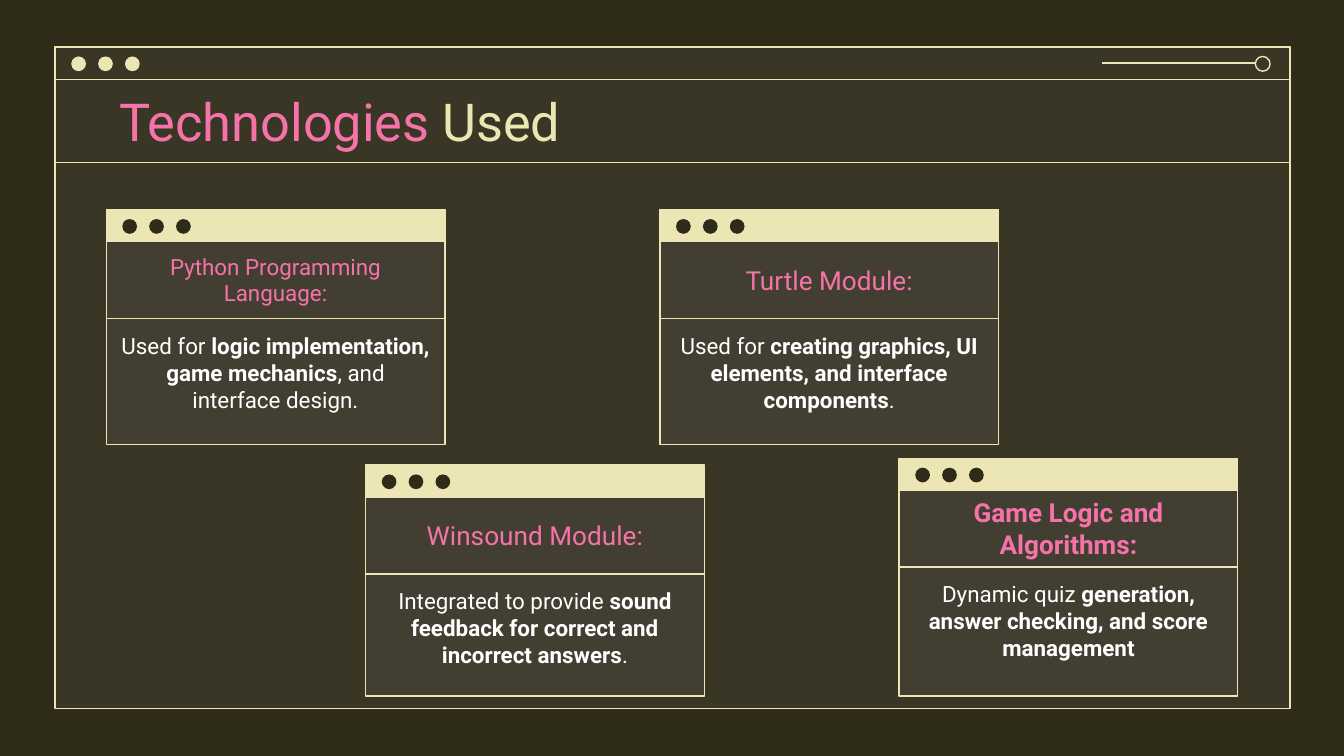
from dataclasses import dataclass

from lxml import etree
from pptx import Presentation
from pptx.dml.color import RGBColor
from pptx.enum import shapes, text
from pptx.oxml import ns
from pptx.util import Inches, Pt

CREAM = RGBColor(0xEC, 0xE5, 0xB4)
DARK = RGBColor(0x2F, 0x2B, 0x19)
GRAY = RGBColor(0x7C, 0x7C, 0x7C)
PINK = RGBColor(0xF6, 0x73, 0xA9)
WHITE = RGBColor(0xFF, 0xFF, 0xFF)
FONT = "Roboto"
RECT = shapes.MSO_SHAPE.RECTANGLE
OVAL = shapes.MSO_SHAPE.OVAL
MID = text.MSO_ANCHOR.MIDDLE
TOP = text.MSO_ANCHOR.TOP
LEFT = text.PP_ALIGN.LEFT
CENTER = text.PP_ALIGN.CENTER
EDGE = Pt(0.75)
BAR = 0.24
DOT = 0.11
STEP = 0.2
WIDE = 2.52
HEAD = 0.58


@dataclass
class Run:
    text: str
    bold: bool = False
    color: RGBColor = WHITE


@dataclass
class Card:
    left: float
    top: float
    bottom: float
    title: Run
    size: int
    body: list[Run]


CARDS = [
    Card(0.79, 1.56, 3.31, Run("Python Programming Language:", color=PINK), 12,
         [Run("Used for "), Run("logic implementation, game mechanics", True),
          Run(", and interface design.")]),
    Card(4.91, 1.56, 3.31, Run("Turtle Module:", color=PINK), 14,
         [Run("Used for "),
          Run("creating graphics, UI elements, and interface components", True),
          Run(".")]),
    Card(2.72, 3.46, 5.18, Run("Winsound Module:", color=PINK), 14,
         [Run("Integrated to provide "),
          Run("sound feedback for correct and incorrect answers", True),
          Run(".")]),
    Card(6.69, 3.41, 5.18, Run("Game Logic and Algorithms:", True, PINK), 14,
         [Run("Dynamic quiz "),
          Run("generation, answer checking, and score management", True)]),
]

# Widescreen page, 16 to 9
deck = Presentation()
deck.slide_width = Inches(10)
deck.slide_height = Inches(10 * 9 / 16)
slide = deck.slides.add_slide(deck.slide_layouts[6])
slide.background.fill.solid()
slide.background.fill.fore_color.rgb = DARK


def draw(kind, x: float, y: float, w: float, h: float,
         fill: RGBColor | None = None, line: RGBColor | None = None):
    """Add a preset shape, with fill and line only where given."""
    shape = slide.shapes.add_shape(kind, Inches(x), Inches(y), Inches(w), Inches(h))
    shape.shadow.inherit = False
    if fill is None:
        shape.fill.background()
    else:
        shape.fill.solid()
        shape.fill.fore_color.rgb = fill
    if line is None:
        shape.line.fill.background()
    else:
        shape.line.color.rgb = line
        shape.line.width = EDGE
    return shape


def veil(x: float, y: float, w: float, h: float) -> None:
    """Add a gray panel of 14% opacity."""
    shape = draw(RECT, x, y, w, h, GRAY)
    color = shape.fill._xPr.find(".//" + ns.qn("a:srgbClr"))
    etree.SubElement(color, ns.qn("a:alpha"), val="14000")


def dots(x: float, y: float, color: RGBColor) -> None:
    """Add the three window buttons of a bar at x, y."""
    for i in range(3):
        draw(OVAL, x + 0.12 + i * STEP, y + 0.07, DOT, DOT, color)


def rule(x1: float, x2: float, y: float) -> None:
    """Add a level line."""
    line = slide.shapes.add_connector(
        shapes.MSO_CONNECTOR.STRAIGHT, Inches(x1), Inches(y), Inches(x2), Inches(y))
    line.line.color.rgb = CREAM
    line.line.width = EDGE
    etree.SubElement(line._element.spPr, ns.qn("a:effectLst"))


def write(shape, runs: list[Run], size: int, anchor, align) -> None:
    """Fill a shape with one paragraph of runs."""
    frame = shape.text_frame
    frame.word_wrap = True
    frame.vertical_anchor = anchor
    frame.margin_left = frame.margin_right = Inches(0.1)
    frame.margin_top = frame.margin_bottom = Inches(0.1)
    para = frame.paragraphs[0]
    para.alignment = align
    para.font.name = FONT
    para.font.size = Pt(size)
    for part in runs:
        run = para.add_run()
        run.text = part.text
        run.font.bold = part.bold
        run.font.color.rgb = part.color


def window(card: Card) -> None:
    """Add a card: panel, bar, title and body."""
    x, y = card.left, card.top + BAR
    split = y + HEAD - 0.01
    veil(x, y, WIDE, card.bottom - y)
    draw(RECT, x, card.top, WIDE, BAR, CREAM, CREAM)
    dots(x, card.top, DARK)
    head = draw(RECT, x, y - 0.01, WIDE, HEAD, line=CREAM)
    write(head, [card.title], card.size, MID, CENTER)
    body = draw(RECT, x, split, WIDE, card.bottom - split, line=CREAM)
    write(body, card.body, 12, TOP, CENTER)


# Main window
veil(0.41, 0.36, 9.18, 4.92)
draw(RECT, 0.41, 0.35, 9.19, 4.92, line=CREAM)
draw(RECT, 0.41, 0.35, 9.19, BAR, line=CREAM)
dots(0.41, 0.35, CREAM)
draw(OVAL, 9.34, 0.42, DOT, DOT, line=CREAM)
rule(8.2, 9.34, 0.47)
rule(0.41, 9.59, 1.21)

# Slide title
title = slide.shapes.add_textbox(Inches(0.79), Inches(0.59), Inches(8.43), Inches(0.62))
write(title, [Run("Technologies", color=PINK), Run(" Used", color=CREAM)], 28, MID, LEFT)

# Cards
for card in CARDS:
    window(card)

deck.save("out.pptx")
